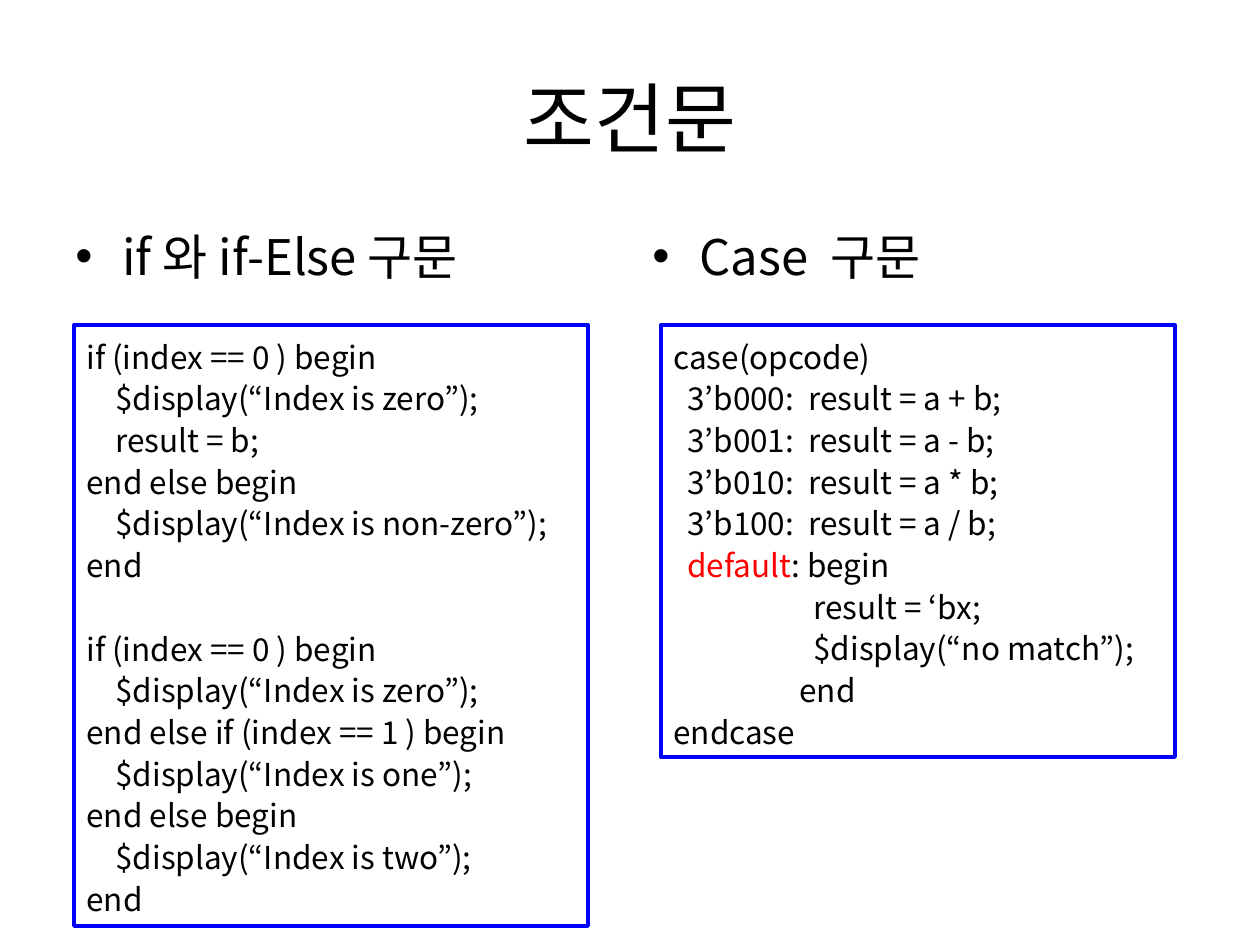
from lxml.etree import SubElement
from pptx import Presentation
from pptx.dml.color import RGBColor
from pptx.enum.shapes import MSO_SHAPE
from pptx.enum.text import MSO_ANCHOR, PP_ALIGN
from pptx.oxml.ns import qn
from pptx.util import Pt

PIXEL = 914400 // 126
FONT = "Noto Sans CJK KR"
BLACK, RED, BLUE = "000000", "FF0000", "0000FF"
CODE_PITCH = 23.8

# Each code line is (indent in pixels, text); an empty text leaves a gap.
IF_CODE = [
    (0, "if (index == 0 ) begin"),
    (29, "$display(“Index is zero”);"),
    (29, "result = b;"),
    (0, "end else begin"),
    (29, "$display(“Index is non-zero”);"),
    (0, "end"),
    (0, ""),
    (0, "if (index == 0 ) begin"),
    (29, "$display(“Index is zero”);"),
    (0, "end else if (index == 1 ) begin"),
    (29, "$display(“Index is one”);"),
    (0, "end else begin"),
    (29, "$display(“Index is two”);"),
    (0, "end"),
]
OPERATIONS = [("000", "+"), ("001", "-"), ("010", "*"), ("100", "/")]
CASE_CODE = [
    (0, "case(opcode)"),
    *[(14, f"3’b{bits}:  result = a {sign} b;") for bits, sign in OPERATIONS],
    (14, "default: begin"),
    (140, "result = ‘bx;"),
    (140, "$display(“no match”);"),
    (126, "end"),
    (0, "endcase"),
]


def px(*lengths):
    """Turn pixels into a list of EMU lengths."""
    return [length * PIXEL for length in lengths]


def color(value):
    """Turn a hex string into a colour."""
    return RGBColor.from_string(value)


def add_run(paragraph, text, size, fill=BLACK):
    """Add one run in the slide's font."""
    run = paragraph.add_run()
    run.text = text
    run.font.size = Pt(size)
    run.font.name = FONT
    run.font.color.rgb = color(fill)
    SubElement(run.font._element, qn("a:ea"), typeface=FONT)


def add_text_box(slide, box, text, size):
    """Add a wrapping one-line text box and return its shape."""
    shape = slide.shapes.add_textbox(*px(*box))
    shape.text_frame.word_wrap = True
    add_run(shape.text_frame.paragraphs[0], text, size)
    return shape


def add_title(slide, text):
    """Add the centred slide title."""
    frame = add_text_box(slide, (63, 38, 1134, 158), text, 44).text_frame
    frame.vertical_anchor = MSO_ANCHOR.MIDDLE
    frame.paragraphs[0].alignment = PP_ALIGN.CENTER


def add_heading(slide, left, text):
    """Add a bulleted column heading."""
    shape = add_text_box(slide, (left, 220, 557, 624), text, 28)
    properties = shape.text_frame.paragraphs[0]._p.get_or_add_pPr()
    indent = 47 * PIXEL
    properties.set("marL", str(indent))
    properties.set("indent", str(-indent))
    SubElement(properties, qn("a:buFont"), typeface="Arial")
    SubElement(properties, qn("a:buChar"), char="•")


def add_code_box(slide, left, height, lines):
    """Add a blue frame holding code, with the default keyword in red."""
    shape = slide.shapes.add_shape(MSO_SHAPE.RECTANGLE, *px(left, 325, 514, height))
    shape.shadow.inherit = False
    shape.fill.background()
    shape.line.color.rgb = color(BLUE)
    shape.line.width = Pt(2.25)
    frame = shape.text_frame
    frame.word_wrap = True
    frame.vertical_anchor = MSO_ANCHOR.TOP
    frame.margin_top = 9 * PIXEL
    paragraph, gap = frame.paragraphs[0], 0
    for number, (indent, text) in enumerate(lines):
        if not text:
            gap = CODE_PITCH
            continue
        if number:
            paragraph = frame.add_paragraph()
        paragraph.alignment = PP_ALIGN.LEFT
        paragraph.line_spacing = Pt(CODE_PITCH)
        paragraph.space_before = Pt(gap)
        paragraph._p.get_or_add_pPr().set("marL", str(indent * PIXEL))
        before, keyword, after = text.partition("default")
        for part, fill in ((before, BLACK), (keyword, RED), (after, BLACK)):
            if part:
                add_run(paragraph, part, 18, fill)
        gap = 0


def main():
    """Build and save the slide."""
    presentation = Presentation()
    presentation.slide_width, presentation.slide_height = px(1260, 945)
    slide = presentation.slides.add_slide(presentation.slide_layouts[6])
    add_title(slide, "조건문")
    add_heading(slide, 63, "if 와 if-Else 구문")
    add_heading(slide, 640, "Case  구문")
    add_code_box(slide, 74, 601, IF_CODE)
    add_code_box(slide, 661, 432, CASE_CODE)
    presentation.save("out.pptx")


main()
